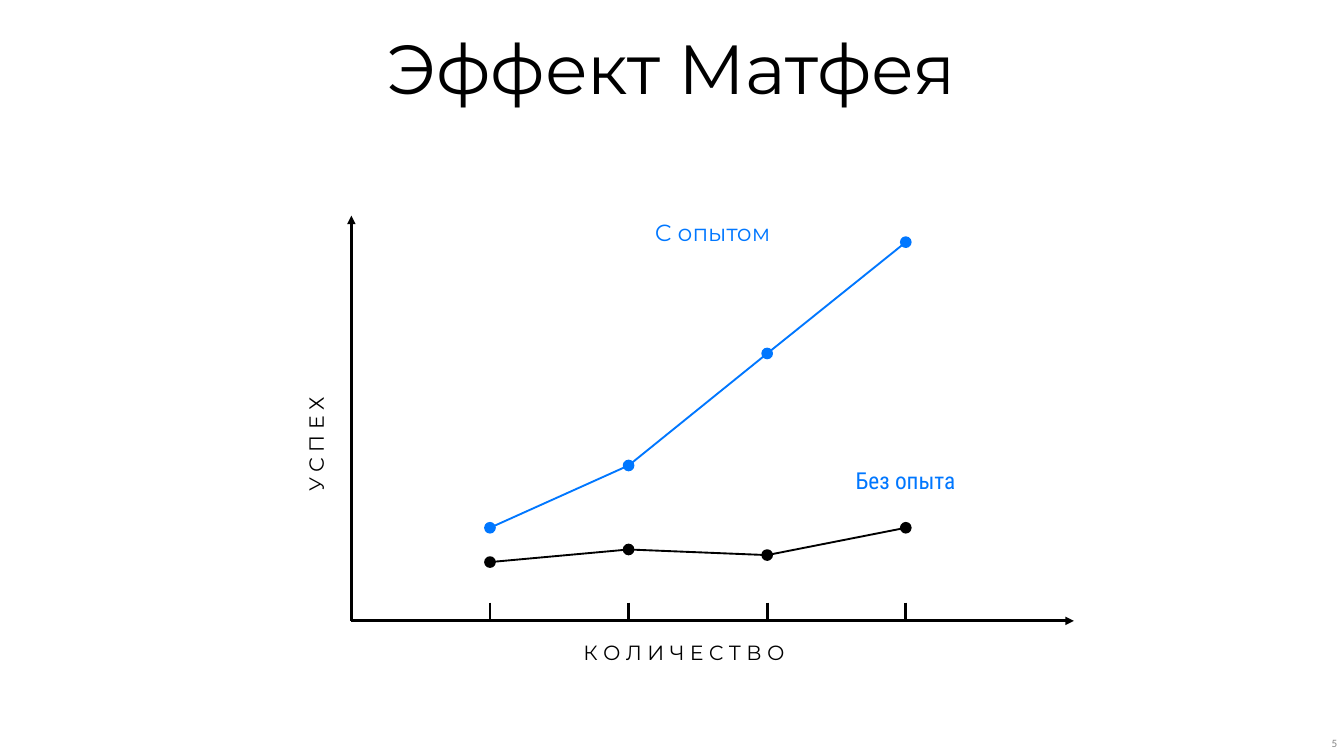
from itertools import pairwise

from lxml import etree
from pptx import Presentation
from pptx.dml.color import RGBColor
from pptx.enum.shapes import MSO_CONNECTOR, MSO_SHAPE
from pptx.enum.text import MSO_ANCHOR, MSO_AUTO_SIZE, PP_ALIGN
from pptx.oxml.ns import qn
from pptx.util import Pt

STRAIGHT, OVAL = MSO_CONNECTOR.STRAIGHT, MSO_SHAPE.OVAL
CENTER, RIGHT = PP_ALIGN.CENTER, PP_ALIGN.RIGHT
PX = 9525  # EMU per px, 96 px to the inch
WIDTH, HEIGHT = 1920, 1080

COLORS = {"background": "FFFFFF", "ink": "000000", "accent": "0077FF", "number": "888888"}

TITLE = ("Эффект Матфея", (527, 43, 864, 120),
         {"size": 74.4, "font": "Montserrat", "color": "ink", "spacing": 0.9})

# text, (left, top, width, height), format
LABELS = [
    ("У С П Е Х", (197, 575, 508, 120),
     {"size": 22, "font": "Montserrat", "color": "ink", "rotation": 270}),
    ("К О Л И Ч Е С Т В О", (814, 866, 326, 131),
     {"size": 22, "font": "Montserrat", "color": "ink"}),
    ("С опытом", (792, 264, 452, 134),
     {"size": 25, "font": "Montserrat", "color": "accent"}),
    ("Без опыта", (1114, 626, 359, 120),
     {"size": 25, "font": "Roboto Condensed", "color": "accent"}),
    ("5", (1696, 1042, 224, 38),
     {"size": 12, "font": "Calibri", "color": "number", "align": RIGHT}),
]

ORIGIN_X, ORIGIN_Y = 502, 887
AXIS_RIGHT, AXIS_TOP = 1534, 308
STEP, TICK, DOT = 198, 26, 14
AXIS_WEIGHT, SERIES_WEIGHT = 3, 2

# color, heights of the points at successive ticks
SERIES = [
    ("ink", [803, 785, 793, 754]),
    ("accent", [754, 665, 505, 346]),
]


def rgb(name):
    return RGBColor.from_string(COLORS[name])


def place(shape, box):
    for side, px in zip(("left", "top", "width", "height"), box):
        setattr(shape, side, px * PX)


def write(shape, text, look):
    frame = shape.text_frame
    frame.text = text
    frame_format = {"word_wrap": True, "auto_size": MSO_AUTO_SIZE.NONE,
                    "vertical_anchor": MSO_ANCHOR.MIDDLE}
    for attribute, value in frame_format.items():
        setattr(frame, attribute, value)
    shape.rotation = look.get("rotation", 0)
    paragraph = frame.paragraphs[0]
    paragraph.alignment = look.get("align", CENTER)
    paragraph.line_spacing = look.get("spacing", 1.0)
    font = paragraph.runs[0].font
    font.name, font.size = look["font"], Pt(look["size"])
    font.color.rgb = rgb(look["color"])


def add_line(shapes, start, end, color, weight, arrow=False):
    line = shapes.add_connector(STRAIGHT, *(px * PX for px in (*start, *end)))
    line.line.color.rgb = rgb(color)
    line.line.width = Pt(weight)
    if arrow:
        etree.SubElement(line.line._get_or_add_ln(), qn("a:tailEnd"), type="triangle")
    etree.SubElement(line._element.spPr, qn("a:effectLst"))


def add_dot(shapes, center, color):
    x, y = center
    dot = shapes.add_shape(OVAL, 0, 0, 0, 0)
    place(dot, (x - DOT // 2, y - DOT // 2, DOT, DOT))
    dot.shadow.inherit = False
    dot.fill.solid()
    dot.fill.fore_color.rgb = dot.line.color.rgb = rgb(color)
    dot.line.width = Pt(SERIES_WEIGHT)


def add_axes(shapes):
    origin = (ORIGIN_X, ORIGIN_Y)
    for end in ((AXIS_RIGHT, ORIGIN_Y), (ORIGIN_X, AXIS_TOP)):
        add_line(shapes, origin, end, "ink", AXIS_WEIGHT, arrow=True)
    for index in range(len(SERIES[0][1]) + 1):
        x = ORIGIN_X + index * STEP
        add_line(shapes, (x, ORIGIN_Y - TICK), (x, ORIGIN_Y), "ink", AXIS_WEIGHT)


def add_series(shapes, color, heights):
    points = [(ORIGIN_X + index * STEP, y) for index, y in enumerate(heights, 1)]
    for start, end in pairwise(points):
        add_line(shapes, start, end, color, SERIES_WEIGHT)
    for point in points:
        add_dot(shapes, point, color)


def main():
    deck = Presentation()
    deck.slide_width, deck.slide_height = WIDTH * PX, HEIGHT * PX
    slide = deck.slides.add_slide(deck.slide_layouts.get_by_name("Title Only"))
    slide.background.fill.solid()
    slide.background.fill.fore_color.rgb = rgb("background")
    shapes = slide.shapes

    text, box, look = TITLE
    place(shapes.title, box)
    write(shapes.title, text, look)

    add_axes(shapes)
    for color, heights in SERIES:
        add_series(shapes, color, heights)
    for text, box, look in LABELS:
        label = shapes.add_textbox(*(px * PX for px in box))
        write(label, text, look)

    deck.save("out.pptx")


if __name__ == "__main__":
    main()
